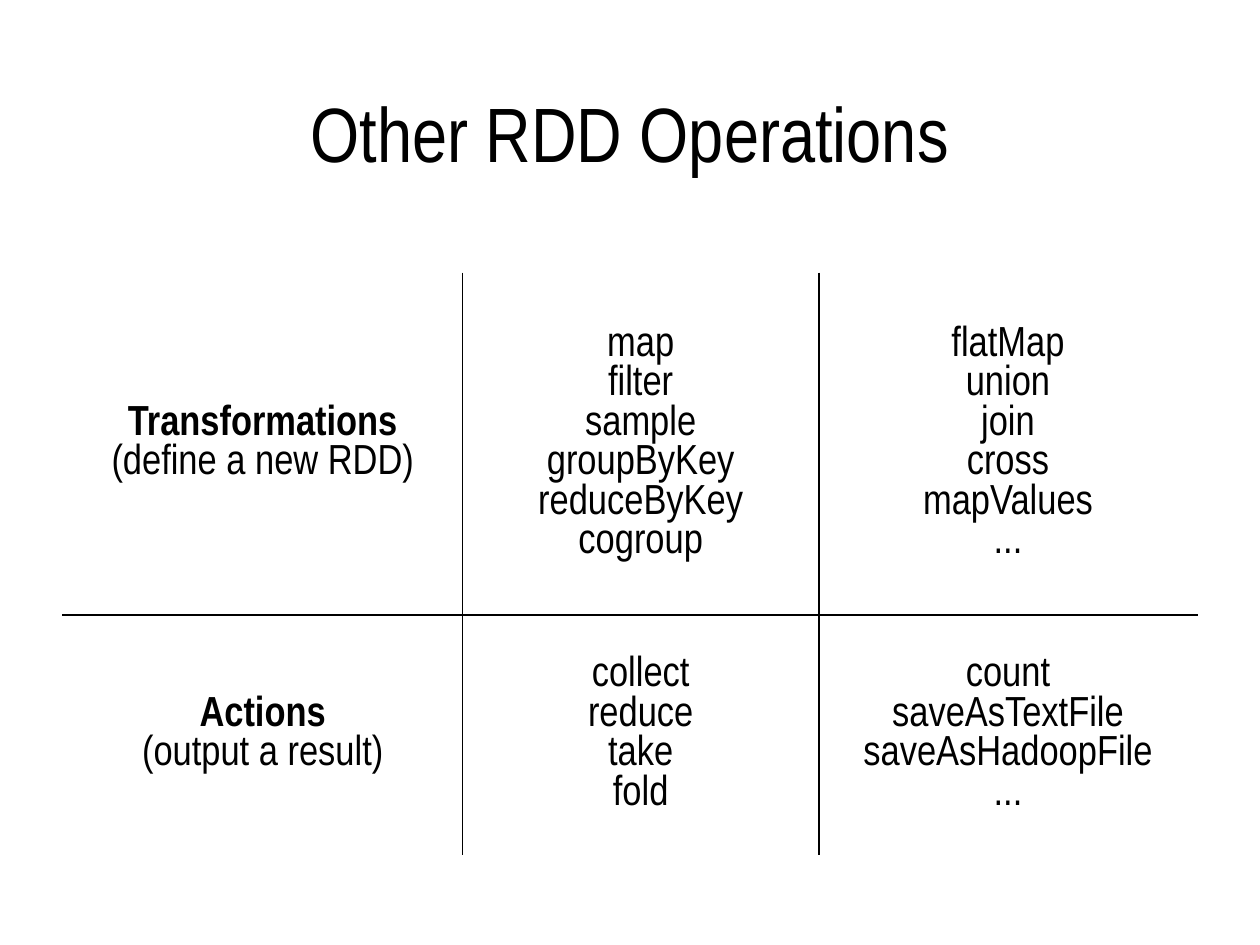
from lxml.etree import SubElement
from pptx import Presentation
from pptx.dml.color import RGBColor
from pptx.enum.text import MSO_ANCHOR as Anchor, PP_ALIGN as Align
from pptx.oxml.ns import qn
from pptx.util import Inches, Pt

COLORS = {"text": "000000", "rule": "000000"}
FONT = "Arial Narrow"
TITLE = "Other RDD Operations"
# Each row: heading cell, then two columns of operations
ROWS = [
    [
        ["Transformations", "(define a new RDD)"],
        ["map", "filter", "sample", "groupByKey", "reduceByKey", "cogroup"],
        ["flatMap", "union", "join", "cross", "mapValues", "..."],
    ],
    [
        ["Actions", "(output a result)"],
        ["collect", "reduce", "take", "fold"],
        ["count", "saveAsTextFile", "saveAsHadoopFile", "..."],
    ],
]
COLUMN_WIDTHS = [3.17, 2.83, 3]
ROW_HEIGHTS = [2.71, 1.91]
LEFT, TABLE_TOP = 0.5, 2.17
WIDTH = sum(COLUMN_WIDTHS)


def write_text(frame, lines, size, bold_first=False):
    for index, line in enumerate(lines):
        paragraph = frame.paragraphs[0] if index == 0 else frame.add_paragraph()
        paragraph.alignment = Align.CENTER
        run = paragraph.add_run()
        run.text = line
        run.font.name = FONT
        run.font.size = Pt(size)
        run.font.bold = bold_first and index == 0
        run.font.color.rgb = RGBColor.from_string(COLORS["text"])


def set_borders(cell, sides):
    """Draw a 1 pt rule on each side named in sides, in the order L, R, T, B."""
    properties = cell._tc.get_or_add_tcPr()
    for side in sides:
        line = SubElement(properties, qn(f"a:ln{side}"), w=str(Pt(1)))
        fill = SubElement(line, qn("a:solidFill"))
        SubElement(fill, qn("a:srgbClr"), val=COLORS["rule"])


def add_title(slide):
    box = slide.shapes.add_textbox(
        Inches(LEFT), Inches(0.42), Inches(WIDTH), Inches(1.25))
    box.text_frame.word_wrap = True
    box.text_frame.vertical_anchor = Anchor.MIDDLE
    write_text(box.text_frame, [TITLE], size=44)


def add_operations_table(slide):
    table = slide.shapes.add_table(
        len(ROW_HEIGHTS), len(COLUMN_WIDTHS), Inches(LEFT), Inches(TABLE_TOP),
        Inches(WIDTH), Inches(sum(ROW_HEIGHTS))).table
    table.first_row = table.horz_banding = False
    for column, width in zip(table.columns, COLUMN_WIDTHS):
        column.width = Inches(width)
    for row, height in zip(table.rows, ROW_HEIGHTS):
        row.height = Inches(height)

    last_row, last_column = len(ROW_HEIGHTS) - 1, len(COLUMN_WIDTHS) - 1
    for r, row in enumerate(ROWS):
        for c, lines in enumerate(row):
            cell = table.cell(r, c)
            cell.vertical_anchor = Anchor.MIDDLE
            write_text(cell.text_frame, lines, size=24, bold_first=c == 0)
            inner = {"L": c > 0, "R": c < last_column,
                     "T": r > 0, "B": r < last_row}
            set_borders(cell, [side for side, shown in inner.items() if shown])
            cell.fill.background()


def main():
    presentation = Presentation()
    presentation.slide_width = Inches(10)
    presentation.slide_height = Inches(7.5)
    slide = presentation.slides.add_slide(presentation.slide_layouts[6])
    add_title(slide)
    add_operations_table(slide)
    presentation.save("out.pptx")


if __name__ == "__main__":
    main()
